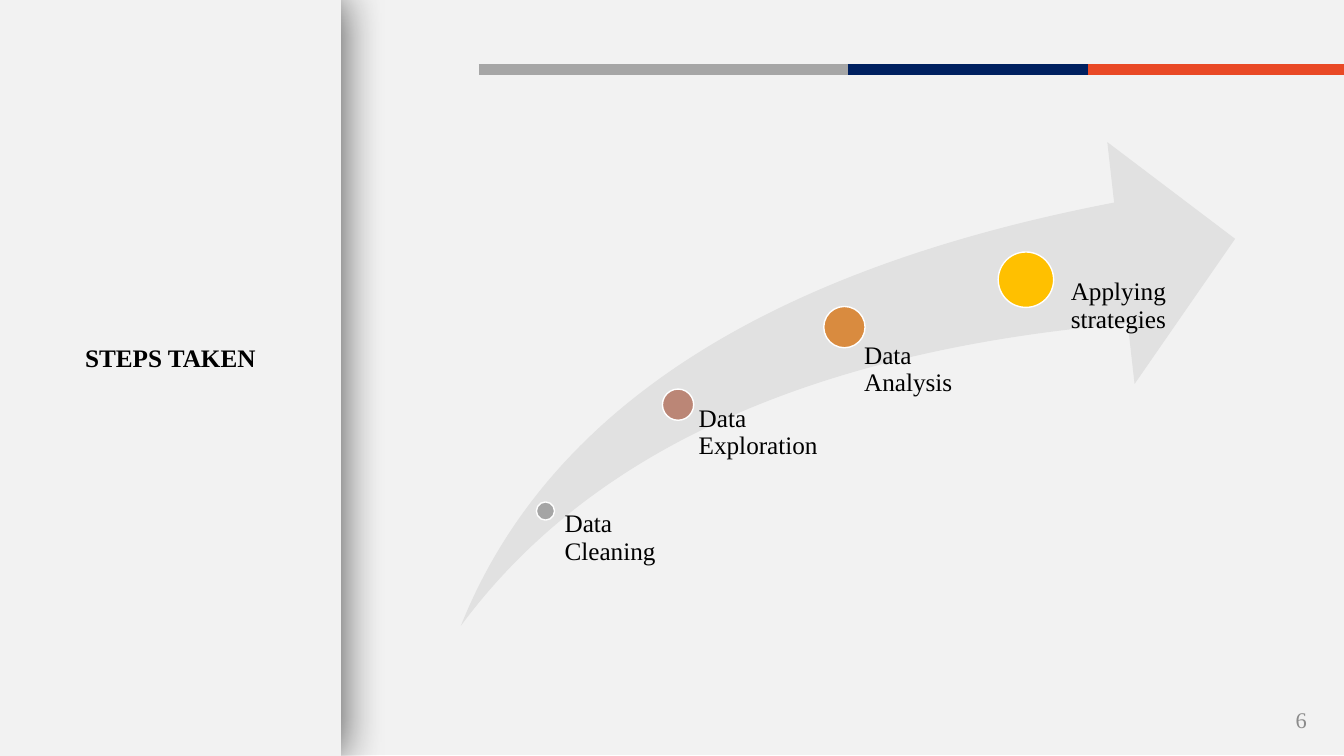
from pptx import Presentation
from pptx.dml.color import RGBColor
from pptx.enum import shapes, text
from pptx.oxml import parse_xml
from pptx.oxml.ns import nsdecls, qn
from pptx.util import Inches, Pt

WIDTH, HEIGHT = 13.33, 7.5
FONT = "Times New Roman"
HEADING = "STEPS TAKEN"
PAGE_NUMBER = "6"
BANDS = [(4.75, "A6A6A6"), (8.41, "002060"), (10.79, "E94926")]
BAND_TOP = 0.69
SWOOSH = (4.57, 1.41, 7.68, 4.8)
STEPS = [
    ("Data Cleaning", (5.32, 4.98, 0.18), "A5A5A5", (5.51, 5.07, 1.31, 1.14), 0.09),
    ("Data Exploration", (6.57, 3.86, 0.31), "BB8676", (6.77, 4.02, 1.61, 2.19), 0.16),
    ("Data Analysis", (8.17, 3.04, 0.41), "D98B3F", (8.28, 3.4, 1.61, 0.44), 0.29),
    ("Applying strategies", (9.9, 2.5, 0.55), "FFC000", (10.4, 2.77, 1.61, 2.97), 0.22),
]


def color(value):
    return RGBColor.from_string(value)


def box(values):
    return [Inches(value) for value in values]


def add_figure(slide, kind, area, fill, outline=None):
    figure = slide.shapes.add_shape(kind, *box(area))
    figure.shadow.inherit = False
    figure.fill.solid()
    figure.fill.fore_color.rgb = color(fill)
    if outline:
        figure.line.color.rgb = color(outline)
        figure.line.width = Pt(1)
    else:
        figure.line.fill.background()
    return figure


def write(holder, words, size, ink, align, bold=False):
    frame = holder.text_frame
    frame.word_wrap = True
    frame.text = words
    paragraph = frame.paragraphs[0]
    paragraph.alignment = align
    font = paragraph.font
    font.name, font.size, font.bold = FONT, Pt(size), bold
    font.color.rgb = color(ink)
    return frame


def add_band(slide, start, ink):
    band = slide.shapes.add_connector(
        shapes.MSO_CONNECTOR.STRAIGHT, *box((start, BAND_TOP, WIDTH, BAND_TOP)))
    band.line.color.rgb = color(ink)
    band.line.width = Pt(8)
    band._element.spPr.append(parse_xml(f"<a:effectLst {nsdecls('a')}/>"))


def add_step(slide, words, dot, fill, area, indent):
    left, top, size = dot
    add_figure(slide, shapes.MSO_SHAPE.OVAL, (left, top, size, size), fill, "FFFFFF")
    label = slide.shapes.add_textbox(*box(area))
    frame = write(label, words, 18, "000000", text.PP_ALIGN.LEFT)
    frame.margin_left = Inches(indent)
    frame.margin_top = frame.margin_right = frame.margin_bottom = 0
    frame.paragraphs[0].line_spacing = 0.9


def add_side_panel(slide):
    panel = add_figure(slide, shapes.MSO_SHAPE.RECTANGLE, (-0.01, 0, 3.39, HEIGHT), "F2F2F2")
    panel._element.spPr.find(qn("a:effectLst")).append(parse_xml(
        f'<a:outerShdw {nsdecls("a")} blurRad="{Pt(30)}" dist="{Pt(3)}" dir="0" '
        'algn="l" rotWithShape="0"><a:srgbClr val="000000"><a:alpha val="60000"/>'
        '</a:srgbClr></a:outerShdw>'))


def add_heading(slide):
    heading = slide.shapes.title
    heading.left, heading.top, heading.width, heading.height = box((0.11, 3.35, 3.16, 0.4))
    frame = write(heading, HEADING, 18, "000000", text.PP_ALIGN.CENTER, bold=True)
    frame.vertical_anchor = text.MSO_ANCHOR.TOP
    frame.auto_size = text.MSO_AUTO_SIZE.SHAPE_TO_FIT_TEXT
    slide.shapes._spTree.append(heading._element)


def main():
    deck = Presentation()
    deck.slide_width, deck.slide_height = box((WIDTH, HEIGHT))
    slide = deck.slides.add_slide(deck.slide_layouts[5])

    add_figure(slide, shapes.MSO_SHAPE.RECTANGLE, (0.01, -0.01, WIDTH, HEIGHT), "F2F2F2")
    for start, ink in BANDS:
        add_band(slide, start, ink)

    swoosh = add_figure(slide, shapes.MSO_SHAPE.SWOOSH_ARROW, SWOOSH, "E1E1E1")
    swoosh.adjustments[0] = swoosh.adjustments[1] = 0.25
    for step in STEPS:
        add_step(slide, *step)

    number = slide.shapes.add_textbox(*box((10.06, 6.94, 3, 0.4)))
    frame = write(number, PAGE_NUMBER, 16, "8C8C8C", text.PP_ALIGN.RIGHT)
    frame.vertical_anchor = text.MSO_ANCHOR.MIDDLE

    add_side_panel(slide)
    add_heading(slide)
    deck.save("out.pptx")


if __name__ == "__main__":
    main()
